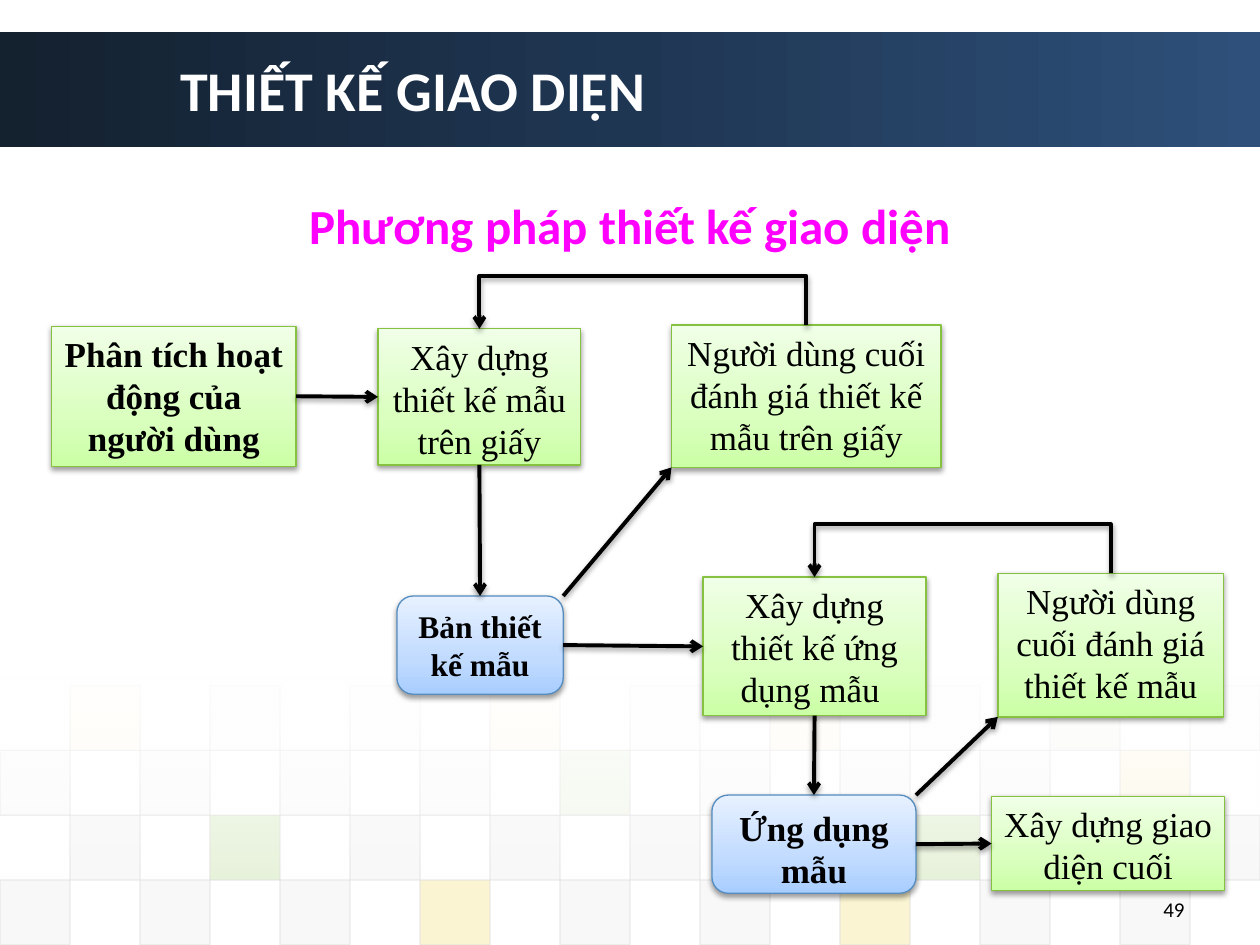
from copy import deepcopy

from lxml import etree
from pptx import Presentation
from pptx.dml.color import RGBColor
from pptx.enum.shapes import MSO_CONNECTOR, MSO_SHAPE
from pptx.enum.text import MSO_ANCHOR, PP_ALIGN
from pptx.oxml import parse_xml
from pptx.oxml.ns import nsdecls, qn
from pptx.util import Inches, Pt

RECT, ROUNDED = MSO_SHAPE.RECTANGLE, MSO_SHAPE.ROUNDED_RECTANGLE
STRAIGHT, ELBOW = MSO_CONNECTOR.STRAIGHT, MSO_CONNECTOR.ELBOW
LEFT, CENTER, RIGHT = PP_ALIGN.LEFT, PP_ALIGN.CENTER, PP_ALIGN.RIGHT
TOP, MIDDLE = MSO_ANCHOR.TOP, MSO_ANCHOR.MIDDLE
TOP_SITE, LEFT_SITE, BOTTOM_SITE, RIGHT_SITE = range(4)

COLORS = {
    "white": "FFFFFF", "black": "000000", "magenta": "FF00FF",
    "navy_dark": "14212F", "navy": "1F3653", "navy_light": "2E507A",
    "D": "DDDDDD", "E": "EAEAEA", "G": "8AC246", "Y": "EFC821",
    "green_low": "CBFFA5", "green_mid": "DAFFBF", "green_high": "F0FFE7", "green_edge": "87C141",
    "blue_low": "A8CDFF", "blue_mid": "C1DBFF", "blue_high": "E7F1FF", "blue_edge": "558DC0",
}
RGB = {key: RGBColor.from_string(value) for key, value in COLORS.items()}

prs = Presentation()
prs.slide_width, prs.slide_height = Inches(10), Inches(7.5)
CELL = prs.slide_width / 100
slide = prs.slides.add_slide(prs.slide_layouts[5])
shapes = slide.shapes


def grid(*cells):
    return [round(cell * CELL) for cell in cells]


def write(holder, text, size, color="black", font="Calibri", bold=False, align=CENTER, anchor=TOP):
    frame = holder.text_frame
    frame.word_wrap = True
    frame.vertical_anchor = anchor
    paragraph = frame.paragraphs[0]
    paragraph.alignment = align
    run = paragraph.add_run()
    run.text = text
    run.font.size = Pt(size)
    run.font.name = font
    run.font.bold = bold
    run.font.color.rgb = RGB[color]


gradients = []
banner = shapes.add_shape(RECT, *grid(0, 2.5, 100, 9.2))
banner.line.fill.background()
banner.shadow.inherit = False
gradients.append((banner, 0, [(0, "navy_dark", 100), (50, "navy", 100), (100, "navy_light", 100)]))

TILE_WIDTH, TILE_HEIGHT, TILES_TOP = 100 / 18, 5.15, 54.4
tile_rows = [("YEEYDYEGE", 1, 5), ("DDDDGDDDY", 0, 10), ("DGDDDDGDD", 1, 20), ("DDDYDDYDD", 0, 20)]
for row, (tints, offset, opacity) in enumerate(tile_rows):
    for step, tint in enumerate(tints):
        tile = shapes.add_shape(RECT, *grid(
            (2 * step + offset) * TILE_WIDTH, TILES_TOP + row * TILE_HEIGHT, TILE_WIDTH, TILE_HEIGHT))
        tile.shadow.inherit = False
        tile.fill.solid()
        tile.fill.fore_color.rgb = RGB[tint]
        tile.line.color.rgb = RGB["D"]
        tile.line.width = Pt(0.75)
        for color, percent in zip(tile._element.spPr.iter(qn("a:srgbClr")), (opacity, 60)):
            etree.SubElement(color, qn("a:alpha"), val=str(percent * 1000))

fade = shapes.add_shape(RECT, *grid(0, 53.7, 100, 16.2))
fade.line.fill.background()
fade.shadow.inherit = False
gradients.append((fade, 270, [(0, "white", 90), (100, "white", 0)]))

title = shapes.title
title.left, title.top, title.width, title.height = grid(13.3, 2.5, 86.5, 9.2)
write(title, "THIẾT KẾ GIAO DIỆN", 32, color="white", bold=True, align=LEFT, anchor=MIDDLE)
shapes._spTree.append(title._element)

subtitle = shapes.add_textbox(*grid(5, 15, 90, 54.2))
write(subtitle, "Phương pháp thiết kế giao diện", 28, color="magenta", bold=True)
page_number = shapes.add_textbox(*grid(71.7, 70.7, 23.3, 3.3))
write(page_number, "49", 12, align=RIGHT)

shadow = parse_xml(
    f'<a:effectLst {nsdecls("a")}><a:outerShdw blurRad="40000" dist="20000" dir="5400000" rotWithShape="0">'
    f'<a:srgbClr val="{COLORS["black"]}"><a:alpha val="38000"/></a:srgbClr></a:outerShdw></a:effectLst>')

steps = [
    ("analysis", "Phân tích hoạt động của người dùng", (4.1, 25.9, 19.4, 11.1), RECT, 20, True),
    ("paper", "Xây dựng thiết kế mẫu trên giấy", (30, 26.1, 16.1, 10.8), RECT, 20, False),
    ("paper_review", "Người dùng cuối đánh giá thiết kế mẫu trên giấy", (53.3, 25.8, 21.4, 11.3), RECT, 20, False),
    ("app", "Xây dựng thiết kế ứng dụng mẫu ", (55.8, 45.8, 17.7, 11), RECT, 20, False),
    ("app_review", "Người dùng cuối đánh giá thiết kế mẫu", (79.2, 45.5, 17.9, 11.4), RECT, 20, False),
    ("final", "Xây dựng giao diện cuối", (78.7, 63.2, 18.5, 7.5), RECT, 20, False),
    ("paper_design", "Bản thiết kế mẫu", (31.5, 47.3, 13.2, 7.8), ROUNDED, 18, True),
    ("app_sample", "Ứng dụng mẫu", (56.5, 63.1, 16.2, 7.8), ROUNDED, 20, True),
]
boxes = {}
for key, text, cells, outline, size, bold in steps:
    box = boxes[key] = shapes.add_shape(outline, *grid(*cells))
    hue = "green" if outline == RECT else "blue"
    box.line.color.rgb = RGB[f"{hue}_edge"]
    box.line.width = Pt(0.75)
    box._element.spPr.append(deepcopy(shadow))
    gradients.append((box, 90, [(0, f"{hue}_low", 100), (35, f"{hue}_mid", 100), (100, f"{hue}_high", 100)]))
    write(box, text, size, font="Times New Roman", bold=bold)

for area, angle, stops in gradients:
    area.fill.gradient()
    area.fill.gradient_angle = angle
    stop_list = area._element.spPr.find(qn("a:gradFill")).find(qn("a:gsLst"))
    stop_list.clear()
    for position, color, opacity in stops:
        stop = etree.SubElement(stop_list, qn("a:gs"), pos=str(position * 1000))
        value = etree.SubElement(stop, qn("a:srgbClr"), val=COLORS[color])
        etree.SubElement(value, qn("a:alpha"), val=str(opacity * 1000))

arrows = []
links = [
    ("analysis", RIGHT_SITE, "paper", LEFT_SITE),
    ("paper", BOTTOM_SITE, "paper_design", TOP_SITE),
    ("paper_design", RIGHT_SITE, "app", LEFT_SITE),
    ("app", BOTTOM_SITE, "app_sample", TOP_SITE),
    ("app_sample", RIGHT_SITE, "final", LEFT_SITE),
]
for source, source_site, target, target_site in links:
    arrow = shapes.add_connector(STRAIGHT, 0, 0, 0, 0)
    arrow.begin_connect(boxes[source], source_site)
    arrow.end_connect(boxes[target], target_site)
    arrows.append(arrow)

for source, target in [("paper_design", "paper_review"), ("app_sample", "app_review")]:
    start, end = boxes[source], boxes[target]
    arrows.append(shapes.add_connector(
        STRAIGHT, start.left + start.width, start.top, end.left, end.top + end.height))

LOOP_RISE = 3.9 * CELL
for source, target in [("paper_review", "paper"), ("app_review", "app")]:
    start, end = boxes[source], boxes[target]
    start_x, end_x = start.left + start.width // 2, end.left + end.width // 2
    middle_x, middle_y = (start_x + end_x) // 2, (start.top + end.top) // 2
    half_drop, half_span = (end.top - start.top) // 2, (start_x - end_x) // 2
    loop = shapes.add_connector(
        ELBOW, middle_x + half_drop, middle_y + half_span, middle_x - half_drop, middle_y - half_span)
    loop._element.spPr.find(qn("a:xfrm")).set("rot", "16200000")
    adjustments = loop._element.spPr.find(qn("a:prstGeom")).find(qn("a:avLst"))
    bend = round(-LOOP_RISE / (2 * half_drop) * 100000)
    etree.SubElement(adjustments, qn("a:gd"), name="adj1", fmla=f"val {bend}")
    arrows.append(loop)

for arrow in arrows:
    arrow.line.color.rgb = RGB["black"]
    arrow.line.width = Pt(2.25)
    properties = arrow._element.spPr
    etree.SubElement(properties.find(qn("a:ln")), qn("a:tailEnd"), type="arrow")
    properties.append(deepcopy(shadow))

prs.save("out.pptx")
